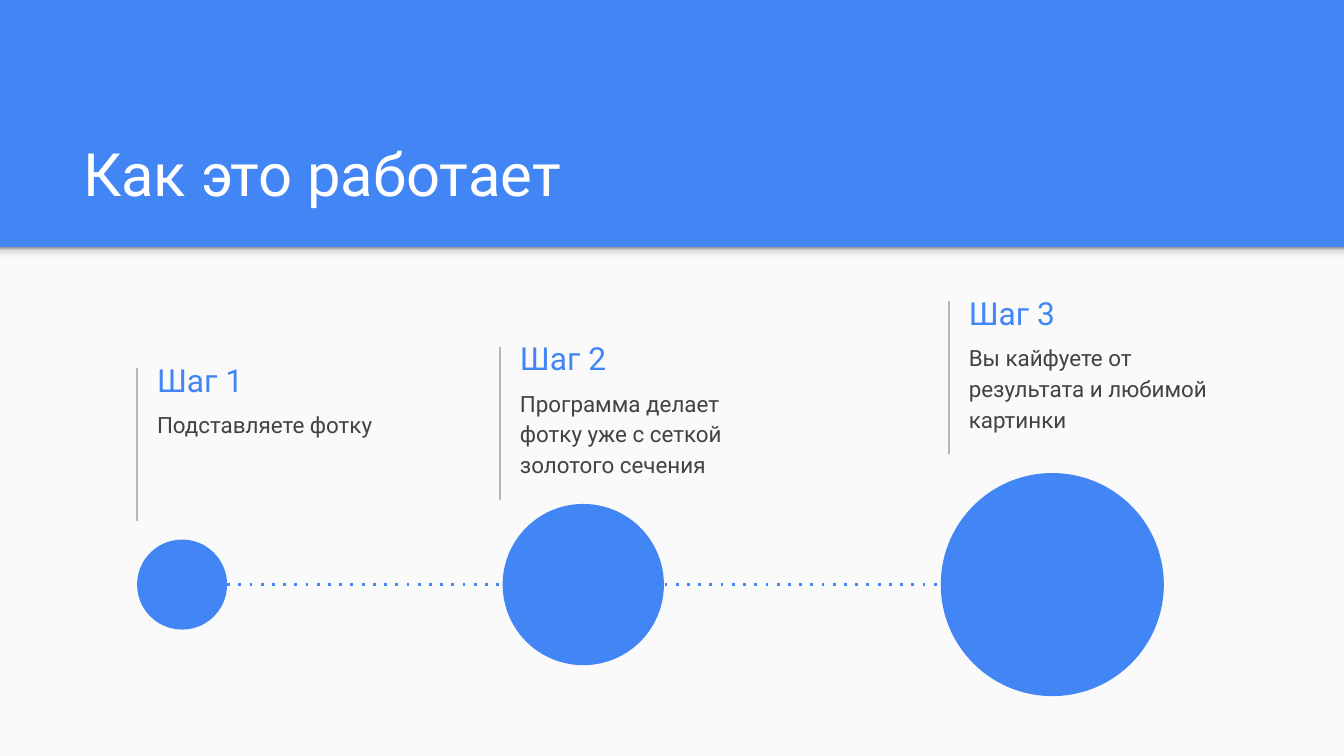
from lxml import etree
from pptx import Presentation
from pptx.dml.color import RGBColor
from pptx.enum import shapes, text
from pptx.oxml.ns import qn
from pptx.util import Inches, Pt

WIDTH, HEIGHT = 10, 5.625
BLUE, PAPER, WHITE, GREY, INK = "4285F4", "FAFAFA", "FFFFFF", "B7B7B7", "424242"
BAND_H = 1.84
AXIS_Y = 4.35
SHADE = [(0, "F9F9F9"), (36, "F9F9F9"), (80, "DEDEDE"), (100, "999999")]

# heading, body, text left, text top, circle left, circle diameter
STEPS = [
    ("Шаг 1", "Подставляете фотку", 1.07, 2.61, 1.02, 0.67),
    ("Шаг 2", "Программа делает фотку уже с сеткой золотого сечения",
     3.77, 2.45, 3.74, 1.2),
    ("Шаг 3", "Вы кайфуете от результата и любимой картинки",
     7.11, 2.11, 7, 1.66),
]


def rgb(value):
    return RGBColor.from_string(value)


def add_shape(s, kind, box, color):
    sp = s.shapes.add_shape(kind, *map(Inches, box))
    sp.shadow.inherit = False
    sp.fill.solid()
    sp.fill.fore_color.rgb = rgb(color)
    sp.line.fill.background()
    return sp


def add_text(s, box, words, size, color, anchor, spacing=1.0):
    tf = s.shapes.add_textbox(*map(Inches, box)).text_frame
    margins = {f"margin_{side}": Inches(0.1)
               for side in ("left", "top", "right", "bottom")}
    for name, value in {**margins, "word_wrap": True,
                        "vertical_anchor": anchor}.items():
        setattr(tf, name, value)
    p = tf.paragraphs[0]
    p.line_spacing = spacing
    r = p.add_run()
    r.text = words
    for name, value in {"name": "Roboto", "size": Pt(size)}.items():
        setattr(r.font, name, value)
    r.font.color.rgb = rgb(color)


def add_line(s, x1, y1, x2, y2, color, width, dash=None):
    cx = s.shapes.add_connector(shapes.MSO_CONNECTOR.STRAIGHT,
                                *map(Inches, (x1, y1, x2, y2)))
    cx.line.color.rgb = rgb(color)
    cx.line.width = Pt(width)
    if dash:
        ln = cx.line._get_or_add_ln()
        etree.SubElement(ln, qn("a:prstDash"), val=dash)
    etree.SubElement(cx._element.spPr, qn("a:effectLst"))


def add_backdrop(s, x, y, w, h):
    """Lower paper area with a soft shade along its top edge."""
    rect = shapes.MSO_SHAPE.RECTANGLE
    add_shape(s, rect, (x, y, w, h), PAPER)
    shade = add_shape(s, rect, (x, y, w, 0.12), PAPER)
    shade.fill.gradient()
    shade.fill.gradient_angle = 90
    stops = shade._element.spPr.find(".//" + qn("a:gsLst"))
    for stop in list(stops):
        stops.remove(stop)
    for share, color in SHADE:
        gs = etree.SubElement(stops, qn("a:gs"), pos=str(share * 1000))
        etree.SubElement(gs, qn("a:srgbClr"), val=color)


def add_step_text(s, x, y, w, heading, body):
    add_line(s, x - 0.05, y + 0.13, x - 0.05, y + 1.27, GREY, 0.75)
    add_text(s, (x, y, w, 0.43), heading, 17, BLUE, text.MSO_ANCHOR.MIDDLE)
    add_text(s, (x, y + 0.32, w, 0.63), body, 12, INK,
             text.MSO_ANCHOR.TOP, 1.15)


def add_timeline(s, axis_y, circles):
    """Growing circles centred on a dotted axis."""
    first, last = circles[0], circles[-1]
    add_line(s, sum(first), axis_y, last[0], axis_y, BLUE, 1.5, "dot")
    for x, d in circles:
        add_shape(s, shapes.MSO_SHAPE.OVAL, (x, axis_y - d / 2, d, d), BLUE)


def main():
    prs = Presentation()
    prs.slide_width, prs.slide_height = Inches(WIDTH), Inches(HEIGHT)
    s = prs.slides.add_slide(prs.slide_layouts[6])
    s.background.fill.solid()
    s.background.fill.fore_color.rgb = rgb(BLUE)

    add_backdrop(s, 0, BAND_H, WIDTH, HEIGHT - BAND_H)
    add_text(s, (0.52, 0.81, 8.99, 0.84), "Как это работает", 32, WHITE,
             text.MSO_ANCHOR.BOTTOM)
    for heading, body, x, y, *_ in STEPS:
        add_step_text(s, x, y, 1.98, heading, body)
    add_timeline(s, AXIS_Y, [step[-2:] for step in STEPS])
    prs.save("out.pptx")


if __name__ == "__main__":
    main()
